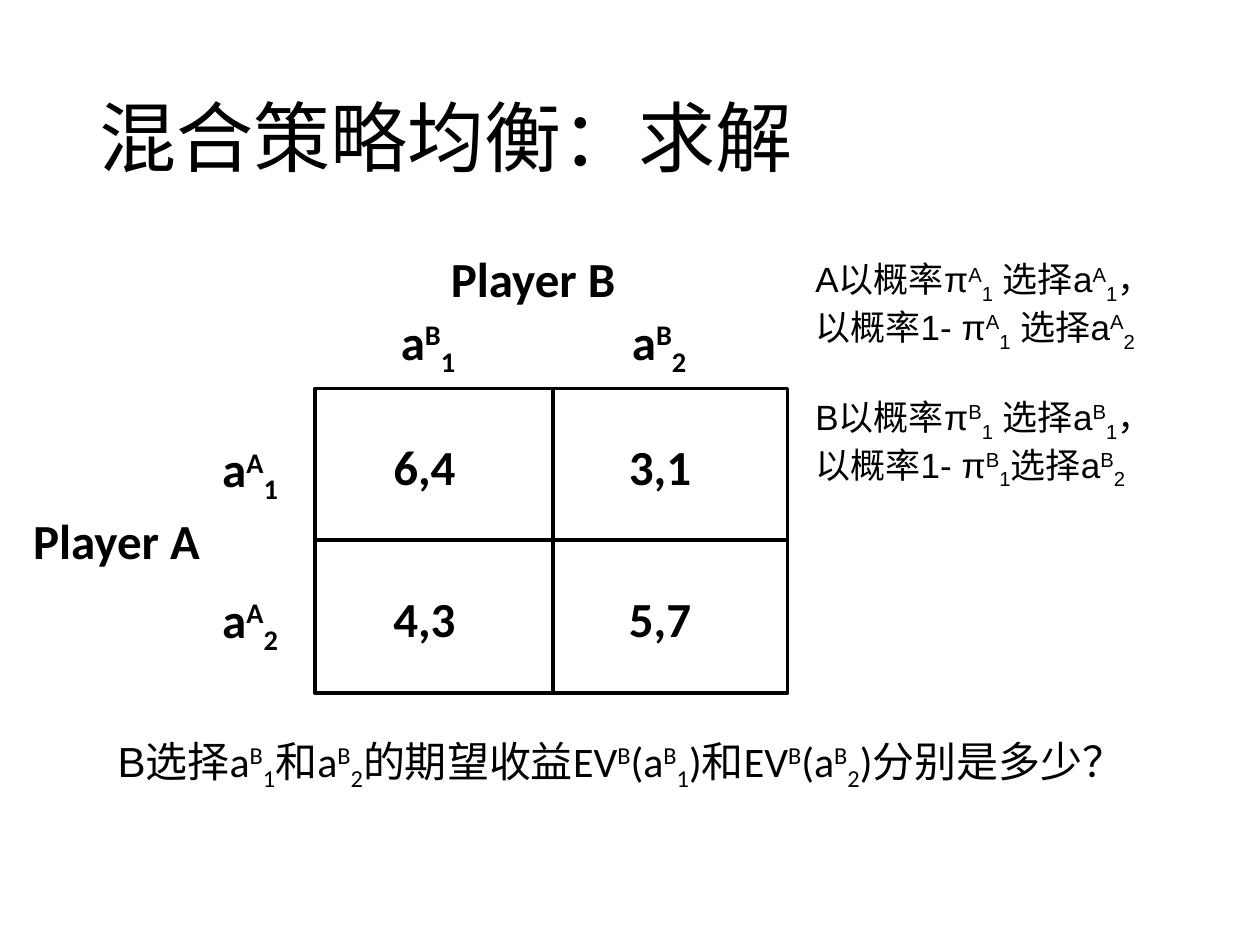
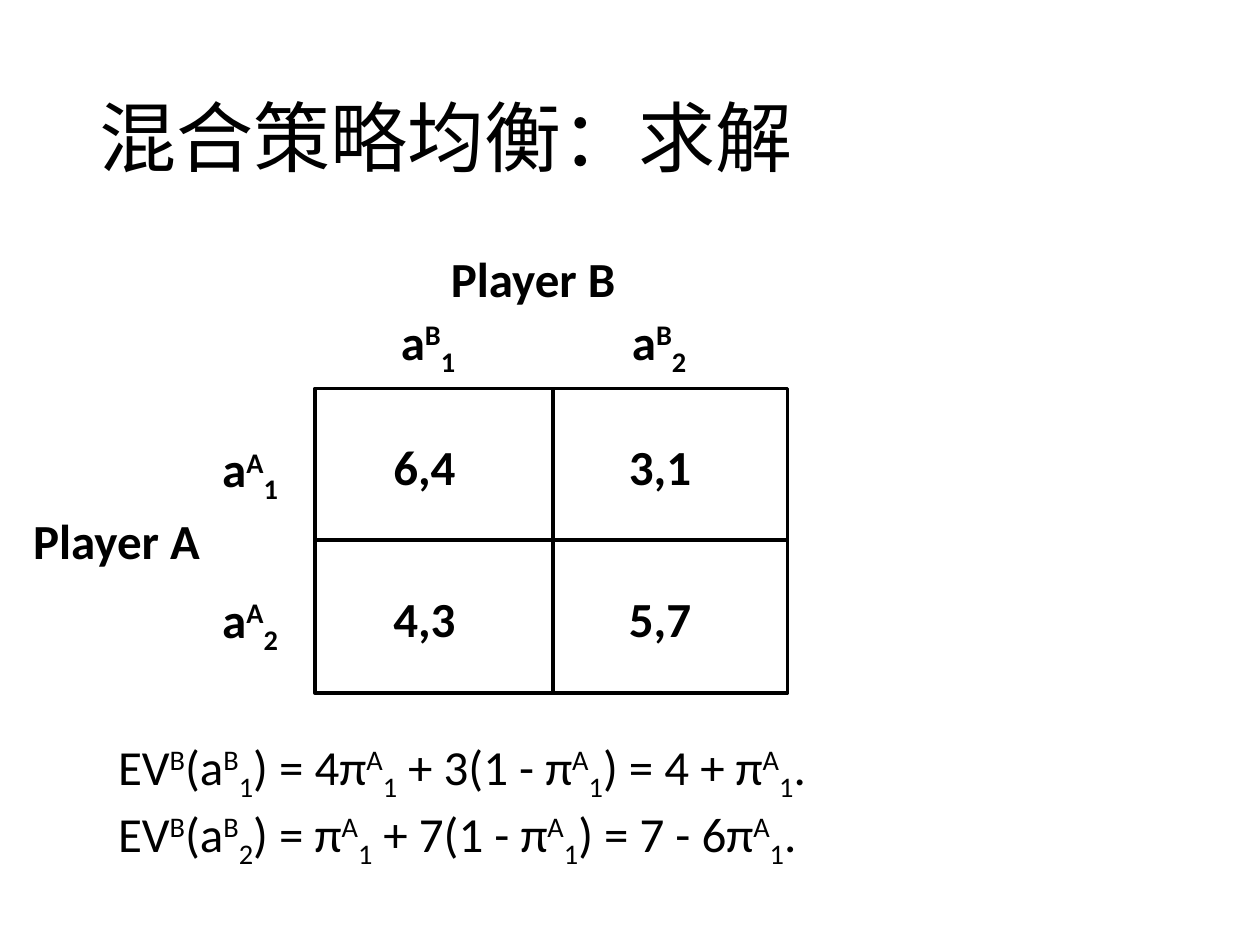
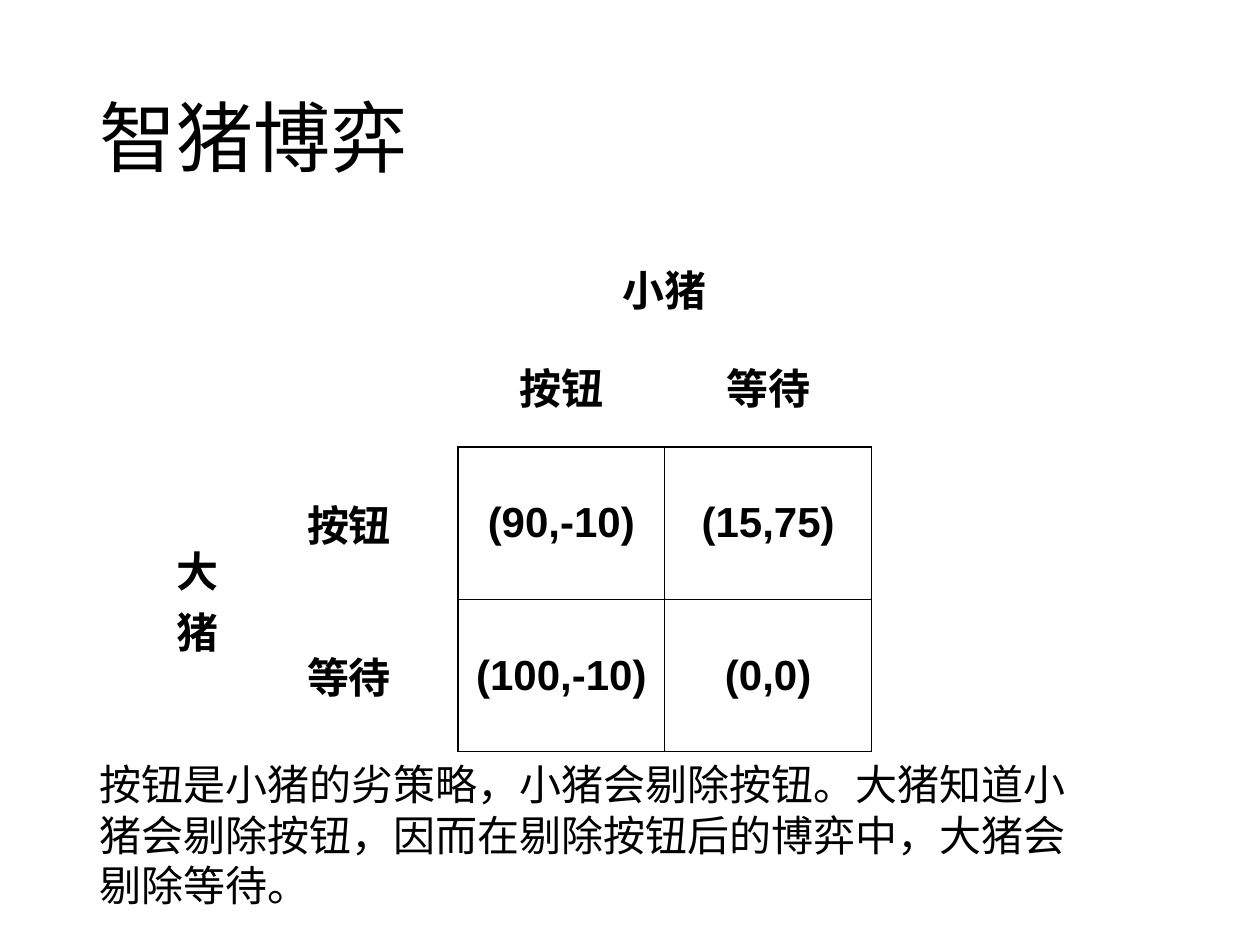
import itertools

import lxml.etree
import pptx
import pptx.dml.color
import pptx.enum.shapes
import pptx.enum.text
import pptx.oxml.ns
import pptx.util
from pptx.util import Cm, Pt

BLACK = pptx.dml.color.RGBColor(0, 0, 0)
HEADING_FONT = "Calibri"
TEXT_FONT = "Arial"
TITLE_ONLY = 5
BASELINES = {"^": "30000", "_": "-25000"}

PAYOFFS = [["6,4", "3,1"], ["4,3", "5,7"]]
PIG_PAYOFFS = [["(90,-10)", "(15,75)"], ["(100,-10)", "(0,0)"]]
PIG_ACTIONS = ["按钮", "等待"]


def set_font(font, size, name, bold=False):
    font.size = Pt(size)
    font.name = name
    font.bold = bold
    font.color.rgb = BLACK


def add_run(paragraph, text, font_name, baseline=None):
    run = paragraph.add_run()
    run.text = text
    if font_name:
        run.font.name = font_name
    if baseline:
        run._r.get_or_add_rPr().set("baseline", baseline)


def write_formula(paragraph, text, font_name=None):
    """Add text in which ^ raises and _ lowers the one character after it."""
    plain = ""
    characters = iter(text)
    for character in characters:
        if character not in BASELINES:
            plain += character
            continue
        if plain:
            add_run(paragraph, plain, font_name)
            plain = ""
        add_run(paragraph, next(characters), font_name, BASELINES[character])
    if plain:
        add_run(paragraph, plain, font_name)


def add_text(slide, box, paragraphs, size, font_name, bold=False, gap=0):
    """Add a text box; a paragraph is a string or a list of (text, font name)."""
    frame = slide.shapes.add_textbox(*map(Cm, box)).text_frame
    frame.word_wrap = True
    for index, content in enumerate(paragraphs):
        paragraph = frame.add_paragraph() if index else frame.paragraphs[0]
        set_font(paragraph.font, size, font_name, bold)
        if index:
            paragraph.space_before = Pt(gap)
        pieces = [(content, None)] if isinstance(content, str) else content
        for text, piece_font in pieces:
            write_formula(paragraph, text, piece_font)


def add_titled_slide(presentation, title):
    slide = presentation.slides.add_slide(presentation.slide_layouts[TITLE_ONLY])
    shape = slide.shapes.title
    shape.left, shape.top, shape.width, shape.height = map(Cm, (1.75, 1.02, 21.9, 3.68))
    shape.text_frame.text = title
    shape.text_frame.vertical_anchor = pptx.enum.text.MSO_ANCHOR.MIDDLE
    paragraph = shape.text_frame.paragraphs[0]
    paragraph.alignment = pptx.enum.text.PP_ALIGN.LEFT
    paragraph.line_spacing = 0.9
    set_font(paragraph.font, 44, HEADING_FONT)
    return slide


def add_divider(slide, start_x, start_y, end_x, end_y):
    divider = slide.shapes.add_connector(
        pptx.enum.shapes.MSO_CONNECTOR.STRAIGHT,
        Cm(start_x), Cm(start_y), Cm(end_x), Cm(end_y))
    divider.line.color.rgb = BLACK
    divider.line.width = Pt(2.25)
    lxml.etree.SubElement(divider._element.spPr, pptx.oxml.ns.qn("a:effectLst"))


def add_game_matrix(slide, left, top, width, height):
    """Draw the 2 by 2 game with its player and action labels around the box."""
    frame = slide.shapes.add_shape(
        pptx.enum.shapes.MSO_SHAPE.RECTANGLE, *map(Cm, (left, top, width, height)))
    frame.shadow.inherit = False
    frame.fill.background()
    frame.line.color.rgb = BLACK
    frame.line.width = Pt(2)
    add_divider(slide, left + 4.8, top, left + 4.8, top + height)
    add_divider(slide, left, top + 3.05, left + width, top + 3.05)

    labels = [("Player B", 2.49, -2.94, 4.6), ("Player A", -5.93, 2.34, 4.6)]
    for index in range(2):
        labels.append((f"a^A_{index + 1}", -2.12, 0.89 + index * 3.04, 2))
        labels.append((f"a^B_{index + 1}", 1.48 + index * 4.66, -1.68, 2))
    for row, column in itertools.product(range(2), repeat=2):
        labels.append((PAYOFFS[row][column], 1.33 + column * 4.75,
                       0.84 + row * 3.07, 2.1))
    for text, x, y, label_width in labels:
        add_text(slide, (left + x, top + y, label_width, 1.45), [text],
                 28, HEADING_FONT, bold=True)


def add_solving_slide(presentation):
    slide = add_titled_slide(presentation, "混合策略均衡：求解")
    add_game_matrix(slide, 6.35, 7.83, 9.53, 6.14)
    return slide


def add_question_slide(presentation):
    slide = add_solving_slide(presentation)
    add_text(slide, (16.19, 5.07, 7.6, 4.52), [
        "A以概率π^A_1 选择a^A_1，以概率1- π^A_1 选择a^A_2",
        "B以概率π^B_1 选择a^B_1，以概率1- π^B_1选择a^B_2",
    ], 20, TEXT_FONT, gap=24)
    question = [
        ("B选择", TEXT_FONT), ("a^B_1", HEADING_FONT), ("和", TEXT_FONT),
        ("a^B_2", HEADING_FONT), ("的期望收益", TEXT_FONT),
        ("EV^B(a^B_1)", HEADING_FONT), ("和", TEXT_FONT),
        ("EV^B(a^B_2)", HEADING_FONT), ("分别是多少？", TEXT_FONT),
    ]
    add_text(slide, (2.12, 14.7, 21.3, 1.27), [question], 24, TEXT_FONT)


def add_answer_slide(presentation):
    slide = add_solving_slide(presentation)
    add_text(slide, (2.13, 14.72, 16, 2.64), [
        "EV^B(a^B_1) = 4π^A_1 + 3(1 - π^A_1) = 4 + π^A_1.",
        "EV^B(a^B_2) = π^A_1 + 7(1 - π^A_1) = 7 - 6π^A_1.",
    ], 28, HEADING_FONT)


def set_borders(cell, sides):
    """Draw thin black borders on the sides named by letters from L, R, T and B."""
    properties = cell._tc.get_or_add_tcPr()
    for position, side in enumerate(sides):
        line = properties.makeelement(
            pptx.oxml.ns.qn(f"a:ln{side}"), {"w": str(Pt(1))})
        fill = lxml.etree.SubElement(line, pptx.oxml.ns.qn("a:solidFill"))
        lxml.etree.SubElement(fill, pptx.oxml.ns.qn("a:srgbClr"), val=str(BLACK))
        properties.insert(position, line)


def write_cell(cell, text):
    cell.vertical_anchor = pptx.enum.text.MSO_ANCHOR.MIDDLE
    paragraph = cell.text_frame.paragraphs[0]
    paragraph.alignment = pptx.enum.text.PP_ALIGN.CENTER
    set_font(paragraph.font, 24, TEXT_FONT, bold=True)
    add_run(paragraph, text, None)


def add_pig_table(slide, left, top):
    column_widths = [1.73, 4.39, 4.17, 4.17]
    row_heights = [1.44, 2.46, 3.07, 3.07]
    table = slide.shapes.add_table(
        4, 4, Cm(left), Cm(top), Cm(sum(column_widths)), Cm(sum(row_heights))).table
    table.first_row = table.horz_banding = False
    for column, width in zip(table.columns, column_widths):
        column.width = Cm(width)
    for row, height in zip(table.rows, row_heights):
        row.height = Cm(height)
    for cell in table.iter_cells():
        cell.fill.background()

    table.cell(0, 2).merge(table.cell(0, 3))
    table.cell(2, 0).merge(table.cell(3, 0))
    write_cell(table.cell(0, 2), "小猪")
    write_cell(table.cell(2, 0), "大猪")
    for index, action in enumerate(PIG_ACTIONS, start=2):
        write_cell(table.cell(1, index), action)
        set_borders(table.cell(1, index), "B")
        write_cell(table.cell(index, 1), action)
        set_borders(table.cell(index, 1), "R")
    for row, column in itertools.product(range(2), repeat=2):
        cell = table.cell(row + 2, column + 2)
        write_cell(cell, PIG_PAYOFFS[row][column])
        set_borders(cell, "LRTB")


def add_pig_slide(presentation):
    slide = add_titled_slide(presentation, "智猪博弈")
    add_pig_table(slide, 3.11, 5.07)
    add_text(slide, (1.75, 15.17, 20.7, 3.33), [
        "按钮是小猪的劣策略，小猪会剔除按钮。大猪知道小猪会剔除按钮，"
        "因而在剔除按钮后的博弈中，大猪会剔除等待。"
    ], 24, HEADING_FONT)


def main():
    presentation = pptx.Presentation()
    presentation.slide_width, presentation.slide_height = Cm(25.4), Cm(19.05)
    add_question_slide(presentation)
    add_answer_slide(presentation)
    add_pig_slide(presentation)
    presentation.save("out.pptx")


if __name__ == "__main__":
    main()
